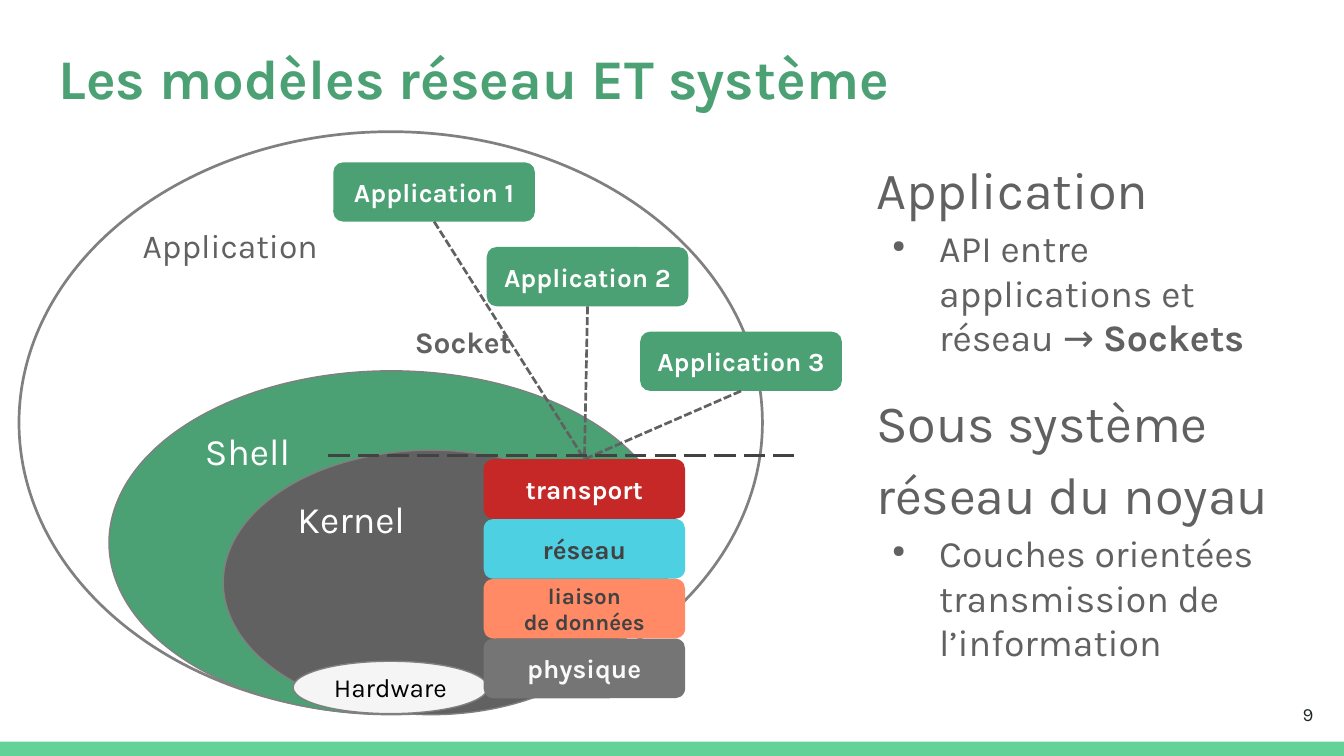
from lxml import etree
from pptx import Presentation
from pptx import util as u
from pptx.dml.color import RGBColor
from pptx.enum import dml, shapes, text
from pptx.oxml.ns import qn

GREEN = RGBColor(0x4B, 0xA1, 0x73)
MINT = RGBColor(0x63, 0xD2, 0x97)
WHITE = RGBColor(0xFF, 0xFF, 0xFF)
SNOW = RGBColor(0xFA, 0xFA, 0xFA)
PALE = RGBColor(0xF5, 0xF5, 0xF5)
BLACK = RGBColor(0, 0, 0)
INK = RGBColor(0x20, 0x27, 0x29)
DARK = RGBColor(0x42, 0x42, 0x42)
GREY = RGBColor(0x61, 0x61, 0x61)
STEEL = RGBColor(0x75, 0x75, 0x75)
EDGE = RGBColor(0x80, 0x80, 0x80)
RED = RGBColor(0xC6, 0x28, 0x28)
CYAN = RGBColor(0x4D, 0xD0, 0xE1)
CORAL = RGBColor(0xFF, 0x8A, 0x65)

OVAL = shapes.MSO_SHAPE.OVAL
ROUND = shapes.MSO_SHAPE.ROUNDED_RECTANGLE
LEFT, MID, RIGHT = text.PP_ALIGN.LEFT, text.PP_ALIGN.CENTER, text.PP_ALIGN.RIGHT
TOP, CORE = text.MSO_ANCHOR.TOP, text.MSO_ANCHOR.MIDDLE
DASH = dml.MSO_LINE

deck = Presentation()
deck.slide_width, deck.slide_height = u.Cm(25.4), u.Cm(14.29)
slide = deck.slides.add_slide(deck.slide_layouts[6])
pool = slide.shapes


def write(shape, paras, size, ink, align=LEFT, anchor=TOP, pad=(0.25, 0.13), wrap=False):
    frame = shape.text_frame
    frame.word_wrap = wrap
    frame.vertical_anchor = anchor
    frame.margin_left = frame.margin_right = u.Cm(pad[0])
    frame.margin_top = frame.margin_bottom = u.Cm(pad[1])
    for i, runs in enumerate(paras):
        para = frame.paragraphs[0] if i == 0 else frame.add_paragraph()
        para.alignment = align
        for words, bold in runs:
            run = para.add_run()
            run.text = words
            run.font.name = "Karla"
            run.font.size = u.Pt(size)
            run.font.bold = bold
            run.font.color.rgb = ink
    return frame


def draw(kind, x, y, w, h, fill=None, edge=None):
    shape = pool.add_shape(kind, u.Cm(x), u.Cm(y), u.Cm(w), u.Cm(h))
    shape.shadow.inherit = False
    if fill is None:
        shape.fill.background()
    else:
        shape.fill.solid()
        shape.fill.fore_color.rgb = fill
    if edge is None:
        shape.line.fill.background()
    else:
        shape.line.color.rgb = EDGE
        shape.line.width = u.Pt(edge)
    return shape


draw(shapes.MSO_SHAPE.RECTANGLE, 0, 14.02, 25.4, 0.27, MINT)

title = pool.add_textbox(u.Cm(0.86), u.Cm(0.38), u.Cm(23.67), u.Cm(1.6))
frame = write(title, [[("Les modèles réseau ET système", True)]], 30, GREEN,
              pad=(0.25, 0.25), wrap=True)
frame.paragraphs[0].line_spacing = 1.15

page = pool.add_textbox(u.Cm(23.55), u.Cm(12.95), u.Cm(1.52), u.Cm(1.09))
write(page, [[("9", False)]], 10, INK, RIGHT, CORE, (0.25, 0.25), True)

rings = [
    ("Application", 0.36, 2.49, 14.05, 11, None, 1.45, 18, GREY, LEFT, TOP, (0.28, 0.15)),
    ("Shell", 2.06, 7.01, 10.67, 6.5, GREEN, 0, 20, WHITE, LEFT, TOP, (0.25, 0.13)),
    ("Kernel", 4.22, 8.51, 7.87, 5, GREY, 0, 20, WHITE, LEFT, TOP, (0.25, 0.13)),
    ("Hardware", 5.54, 12.5, 3.68, 0.99, PALE, 0, 14, BLACK, MID, CORE, (0.25, 0.13)),
]
for name, x, y, w, h, fill, edge, size, ink, align, anchor, pad in rings:
    ring = draw(OVAL, x, y, w, h, fill, edge)
    write(ring, [[(name, False)]], size, ink, align, anchor, pad)

layers = [
    (["physique"], STEEL, SNOW, 14),
    (["liaison", "de données"], CORAL, DARK, 12),
    (["réseau"], CYAN, DARK, 14),
    (["transport"], RED, WHITE, 14),
]
for i, (lines, fill, ink, size) in enumerate(layers):
    layer = draw(ROUND, 9.14, 12.07 - 1.13 * i, 3.81, 1.13, fill)
    write(layer, [[(line, True)] for line in lines], size, ink, MID, CORE)

links = []
for i in range(3):
    app = draw(ROUND, 6.3 + 2.9 * i, 3.07 + 1.6 * i, 3.81, 1.12, GREEN)
    write(app, [[(f"Application {i + 1}", True)]], 14, WHITE, MID, CORE)
    link = pool.add_connector(shapes.MSO_CONNECTOR.STRAIGHT, 0, 0, 0, 0)
    link.begin_connect(app, 2)
    link.end_connect(layer, 0)
    links.append((link, GREY, DASH.SQUARE_DOT))

border = pool.add_connector(shapes.MSO_CONNECTOR.STRAIGHT,
                            u.Cm(6.2), u.Cm(8.61), u.Cm(15.01), u.Cm(8.61))
links.append((border, DARK, DASH.LONG_DASH))
for link, ink, dash in links:
    link.line.color.rgb = ink
    link.line.width = u.Pt(1.45)
    link.line.dash_style = dash
    etree.SubElement(link._element.spPr, qn("a:effectLst"))

body = pool.add_textbox(u.Cm(16.31), u.Cm(2.54), u.Cm(8.31), u.Cm(11.07))
frame = write(body, [
    [("Application", False)],
    [("API entre applications et réseau → ", False), ("Sockets", True)],
    [("Sous système réseau du noyau", False)],
    [("Couches orientées transmission de l’information", False)],
], 20, GREY, pad=(0.25, 0.25), wrap=True)
heads, items = frame.paragraphs[::2], frame.paragraphs[1::2]
for head in heads:
    head.line_spacing = 1.15
    head.runs[0].font.size = u.Pt(28)
heads[1].space_before = u.Pt(11.3)
for item in items:
    props = item._p.get_or_add_pPr()
    props.set("marL", str(u.Cm(1.19)))
    props.set("indent", str(u.Cm(-0.89)))
    tint = etree.SubElement(props, qn("a:buClr"))
    etree.SubElement(tint, qn("a:srgbClr"), val=str(GREY))
    etree.SubElement(props, qn("a:buSzPct"), val="45000")
    etree.SubElement(props, qn("a:buChar"), char="●")
    item.space_before = u.Pt(2.8)

label = pool.add_textbox(u.Cm(7.59), u.Cm(5.99), u.Cm(2.49), u.Cm(1.02))
write(label, [[("Socket", True)]], 16, GREY, wrap=True)

deck.save("out.pptx")
